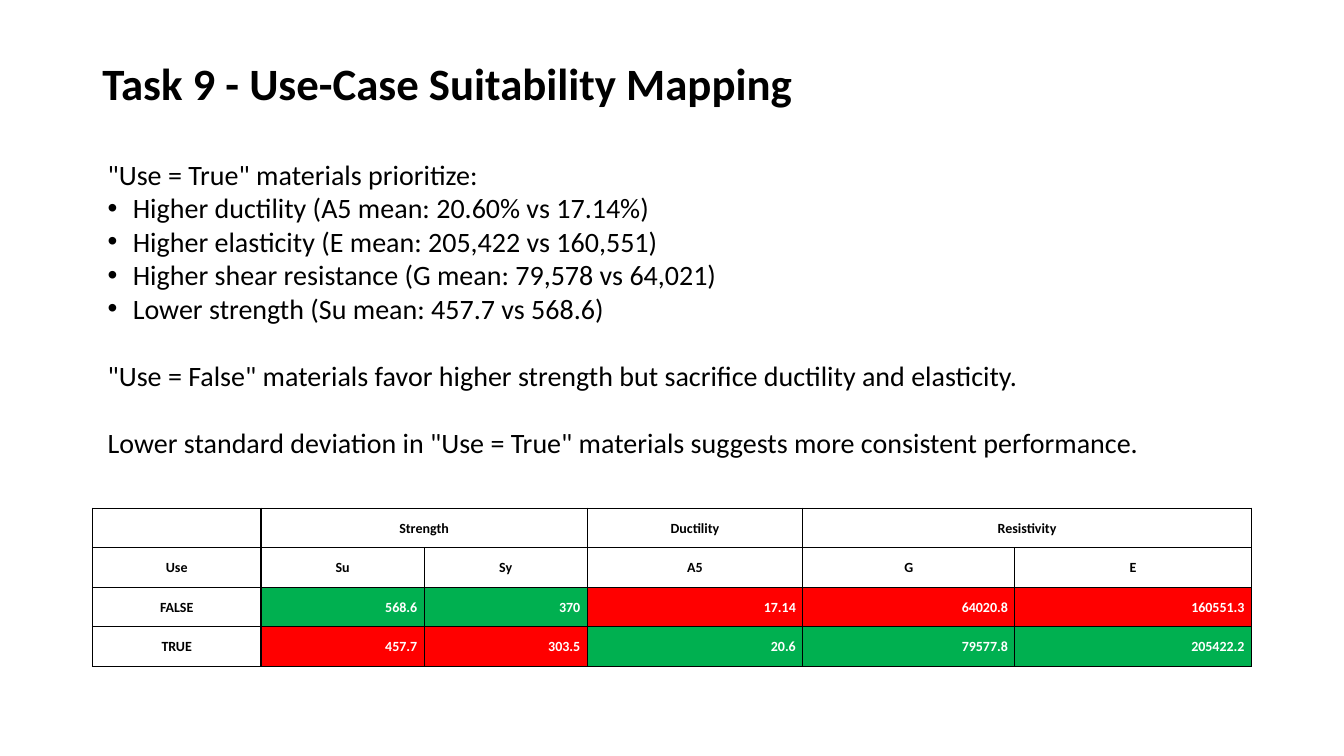
"""Build the use-case suitability slide with its text and comparison table."""
import lxml.etree
import pptx
import pptx.dml.color
import pptx.enum.text
import pptx.oxml.ns
import pptx.util

Pt = pptx.util.Pt
RGBColor = pptx.dml.color.RGBColor
Align = pptx.enum.text.PP_ALIGN
Anchor = pptx.enum.text.MSO_ANCHOR
qn = pptx.oxml.ns.qn

BLACK = RGBColor(0, 0, 0)
WHITE = RGBColor(255, 255, 255)
GREEN = RGBColor(0, 176, 80)
RED = RGBColor(255, 0, 0)

TITLE = "Task 9 - Use-Case Suitability Mapping"
BODY = [
    ('"Use = True" materials prioritize:', {}),
    ("Higher ductility (A5 mean: 20.60% vs 17.14%)", {"bullet": True}),
    ("Higher elasticity (E mean: 205,422 vs 160,551)", {"bullet": True}),
    ("Higher shear resistance (G mean: 79,578 vs 64,021)", {"bullet": True}),
    ("Lower strength (Su mean: 457.7 vs 568.6)", {"bullet": True}),
    ('"Use = False" materials favor higher strength but sacrifice '
     "ductility and elasticity.", {"before": 24}),
    ('Lower standard deviation in "Use = True" materials suggests more '
     "consistent performance.", {"before": 24}),
]
GROUPS = ["", "Strength", "", "Ductility", "Resistivity", ""]
HEADS = ["Use", "Su", "Sy", "A5", "G", "E"]
FALSE = ["FALSE", 568.6, 370, 17.14, 64020.8, 160551.3]
TRUE = ["TRUE", 457.7, 303.5, 20.6, 79577.8, 205422.2]
WIDTHS = [120.5, 116.5, 116.5, 154, 151.5, 169]
ROW = 28.25


def write(para, text, size=20, bold=False, color=BLACK, align=Align.LEFT,
          line=1, before=0, bullet=False):
    """Put formatted text in a paragraph."""
    if bullet:
        props = para._p.get_or_add_pPr()
        props.set("marL", str(Pt(18)))
        props.set("indent", str(-Pt(18)))
        lxml.etree.SubElement(props, qn("a:buFont"), typeface="Arial")
        lxml.etree.SubElement(props, qn("a:buChar"), char="•")
    para.alignment = align
    para.line_spacing = line
    para.space_before = Pt(before)
    run = para.add_run()
    run.text = text
    font = run.font
    font.name, font.size, font.bold = "Calibri", Pt(size), bold
    font.color.rgb = color


def add_text(slide, left, top, width, height, items):
    """Add a wrapped text box, centred vertically, with one item a paragraph."""
    box = slide.shapes.add_textbox(Pt(left), Pt(top), Pt(width), Pt(height))
    frame = box.text_frame
    frame.word_wrap = True
    frame.vertical_anchor = Anchor.MIDDLE
    for index, (text, style) in enumerate(items):
        para = frame.add_paragraph() if index else frame.paragraphs[0]
        write(para, text, **style)


def add_edges(cell):
    """Draw a thin black line on every side of a cell."""
    props = cell._tc.get_or_add_tcPr()
    for side in ("lnL", "lnR", "lnT", "lnB"):
        edge = lxml.etree.SubElement(props, qn("a:" + side), w=str(Pt(1)))
        fill = lxml.etree.SubElement(edge, qn("a:solidFill"))
        lxml.etree.SubElement(fill, qn("a:srgbClr"), val=str(BLACK))


def fill_cell(cell, value, fill):
    """Format a cell and write its value."""
    cell.margin_left = cell.margin_right = Pt(5)
    cell.margin_top = cell.margin_bottom = 0
    cell.vertical_anchor = Anchor.MIDDLE
    add_edges(cell)
    if fill is None:
        cell.fill.background()
    else:
        cell.fill.solid()
        cell.fill.fore_color.rgb = fill
    if value != "":
        write(cell.text_frame.paragraphs[0], str(value), size=10, bold=True,
              color=WHITE if fill else BLACK, line=1.07,
              align=Align.RIGHT if fill else Align.CENTER)


def add_grid(slide, left, top):
    """Add the table, with the larger mean of each column in green."""
    rows = [GROUPS, HEADS, FALSE, TRUE]
    frame = slide.shapes.add_table(len(rows), len(WIDTHS), Pt(left), Pt(top),
                                   Pt(sum(WIDTHS)), Pt(ROW * len(rows)))
    table = frame.table
    table.first_row = table.horz_banding = False
    for column, width in zip(table.columns, WIDTHS):
        column.width = Pt(width)
    for r, values in enumerate(rows):
        table.rows[r].height = Pt(ROW)
        for c, value in enumerate(values):
            fill = None
            if not isinstance(value, str):
                fill = GREEN if value == max(FALSE[c], TRUE[c]) else RED
            fill_cell(table.cell(r, c), value, fill)
    for c in (1, 4):
        table.cell(0, c).merge(table.cell(0, c + 1))


def main():
    """Build and save the slide."""
    deck = pptx.Presentation()
    deck.slide_width, deck.slide_height = Pt(960), Pt(540)
    slide = deck.slides.add_slide(deck.slide_layouts[6])
    add_text(slide, 66, 28.75, 828, 66,
             [(TITLE, {"size": 32, "bold": True, "line": 0.9})])
    add_text(slide, 69.75, 107.5, 821, 225.5, BODY)
    add_grid(slide, 66, 363)
    deck.save("out.pptx")


if __name__ == "__main__":
    main()
